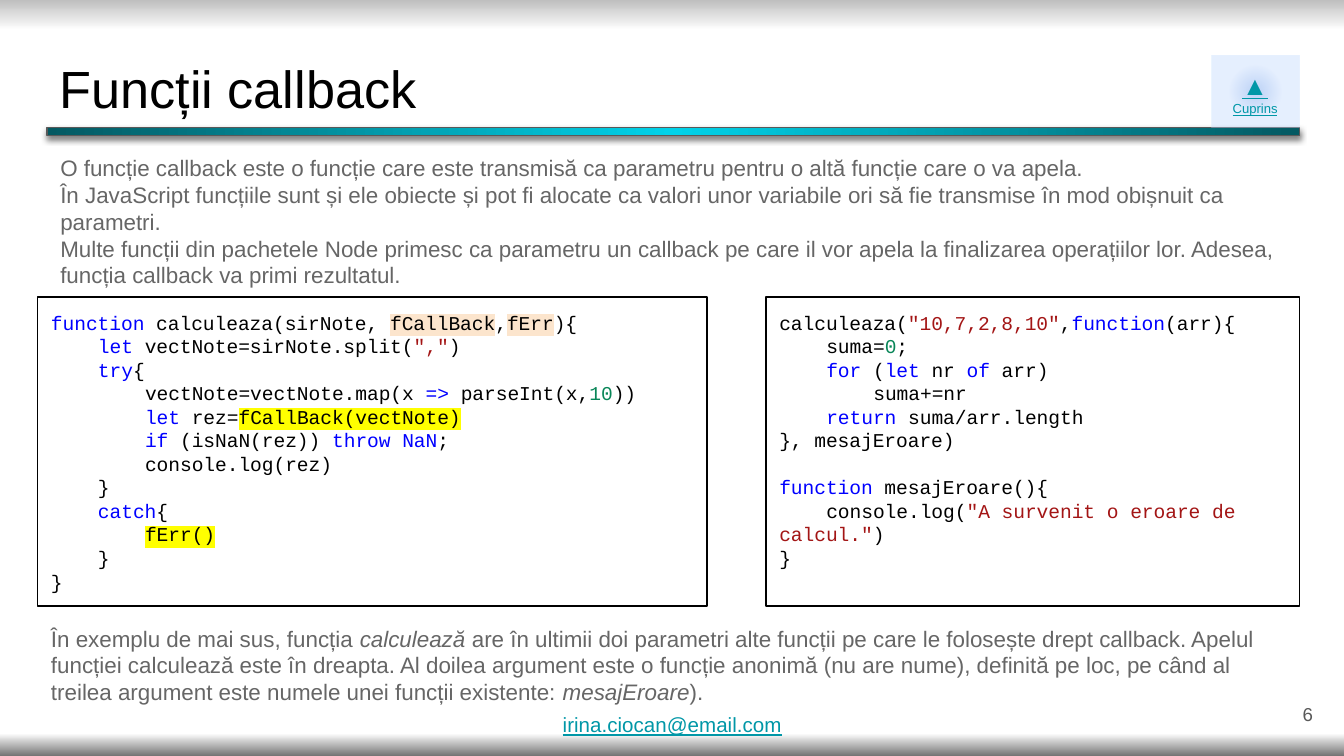
from lxml import etree
from pptx import Presentation
from pptx.dml.color import RGBColor
from pptx.enum.shapes import MSO_SHAPE
from pptx.enum.text import MSO_ANCHOR, PP_ALIGN
from pptx.oxml.ns import qn
from pptx.util import Pt

RECT = MSO_SHAPE.RECTANGLE
TOP, MIDDLE = MSO_ANCHOR.TOP, MSO_ANCHOR.MIDDLE
LEFT, CENTER, RIGHT = PP_ALIGN.LEFT, PP_ALIGN.CENTER, PP_ALIGN.RIGHT

TITLE = {"name": "Arial", "size": Pt(28), "color": "000000"}
BODY = {"name": "Arial", "size": Pt(12), "color": "666666"}
CODE = {"name": "Courier New", "size": Pt(10.5), "color": "000000"}
LINK = {"name": "Arial", "size": Pt(11), "color": "0097A7", "underline": True}
PAGE = {"name": "Arial", "size": Pt(10), "color": "595959"}
ITALIC = {"italic": True}
KEY = {"color": "0000FF"}
STR = {"color": "A31515"}
NUM = {"color": "098658"}
PARAM = {"mark": "FCE5CD"}
CALL = {"mark": "FFFF00"}
CODE_LINE, BODY_LINE, TAB = 12.6, 14.35, 25.2

INTRO = [
    "O funcție callback este o funcție care este transmisă ca parametru "
    "pentru o altă funcție care o va apela.",
    "În JavaScript funcțiile sunt și ele obiecte și pot fi alocate ca valori "
    "unor variabile ori să fie transmise în mod obișnuit ca parametri.",
    "Multe funcții din pachetele Node primesc ca parametru un callback pe care "
    "il vor apela la finalizarea operațiilor lor. Adesea, funcția callback va "
    "primi rezultatul.",
]
NOTE = [
    "În exemplu de mai sus, funcția ", ("calculează ", ITALIC),
    "are în ultimii doi parametri alte funcții pe care le folosește drept "
    "callback. Apelul funcției calculează este în dreapta. Al doilea argument "
    "este o funcție anonimă (nu are nume), definită pe loc, pe când al treilea "
    "argument este numele unei funcții existente: ",
    ("mesajEroare", ITALIC), ").",
]
DEFINE = [
    (0, [("function", KEY), " calculeaza(sirNote, ", ("fCallBack", PARAM), ",",
         ("fErr", PARAM), "){"]),
    (1, [("let", KEY), " vectNote=sirNote.split(", ('","', STR), ")"]),
    (1, [("try", KEY), "{"]),
    (2, ["vectNote=vectNote.map(x ", ("=>", KEY), " parseInt(x,", ("10", NUM), "))"]),
    (2, [("let", KEY), " rez=", ("fCallBack(vectNote)", CALL)]),
    (2, [("if", KEY), " (isNaN(rez)) ", ("throw NaN", KEY), ";"]),
    (2, ["console.log(rez)"]),
    (1, ["}"]),
    (1, [("catch", KEY), "{"]),
    (2, [("fErr()", CALL)]),
    (1, ["}"]),
    (0, ["}"]),
]
USE = [
    (0, ["calculeaza(", ('"10,7,2,8,10"', STR), ",", ("function", KEY), "(arr){"]),
    (1, ["suma=", ("0", NUM), ";"]),
    (1, [("for", KEY), " (", ("let", KEY), " nr ", ("of", KEY), " arr)"]),
    (2, ["suma+=nr"]),
    (1, [("return", KEY), " suma/arr.length"]),
    (0, ["}, mesajEroare)"]),
]
ERROR = [
    (0, [("function", KEY), " mesajEroare(){"]),
    (1, ["console.log(", ('"A survenit o eroare de calcul."', STR), ")"]),
    (0, ["}"]),
]


def tint(text):
    """Return the colour for a hex string."""
    return RGBColor.from_string(text)


def node(up, tag, **attrs):
    """Add a DrawingML child with the given attributes."""
    return etree.SubElement(up, qn("a:" + tag), {k: str(v) for k, v in attrs.items()})


def shade(root, fill, stops, round_=False, alpha=100):
    """Fill with a downward or a centred gradient."""
    fill.solid()
    old = root.find(".//" + qn("a:solidFill"))
    grad = etree.Element(qn("a:gradFill"), rotWithShape="1")
    row = node(grad, "gsLst")
    for pos, hue in stops:
        clr = node(node(row, "gs", pos=pos * 1000), "srgbClr", val=hue)
        if alpha < 100:
            node(clr, "alpha", val=alpha * 1000)
    if round_:
        way = node(grad, "path", path="circle")
        node(way, "fillToRect", l=50000, t=50000, r=50000, b=50000)
    else:
        node(grad, "lin", ang=5400000, scaled=0)
    old.getparent().replace(old, grad)


def write(para, parts, base):
    """Add runs, each a plain string or a (text, format) pair."""
    for part in parts:
        text, extra = (part, {}) if isinstance(part, str) else part
        run = para.add_run()
        run.text = text
        for key, val in {**base, **extra}.items():
            if key == "color":
                run.font.color.rgb = tint(val)
            elif key == "mark":
                glow = etree.Element(qn("a:highlight"))
                node(glow, "srgbClr", val=val)
                run.font._element.find(qn("a:solidFill")).addnext(glow)
            else:
                setattr(run.font, key, val)


def fill_text(shape, rows, base, line=None, align=LEFT, anchor=TOP, pad=7.2):
    """Write rows of (indent level, parts) and return the paragraphs."""
    frame = shape.text_frame
    look = {"word_wrap": True, "vertical_anchor": anchor,
            "margin_left": Pt(7.2), "margin_right": Pt(7.2),
            "margin_top": Pt(pad), "margin_bottom": Pt(pad)}
    for key, val in look.items():
        setattr(frame, key, val)
    for i, (level, parts) in enumerate(rows):
        para = frame.add_paragraph() if i else frame.paragraphs[0]
        para.alignment = align
        if line:
            para.line_spacing = Pt(line)
        if level:
            para._p.get_or_add_pPr().set("indent", str(Pt(level * TAB)))
        write(para, parts, base)
    return frame.paragraphs


def label(slide, box, rows, base, **look):
    """Add a text box."""
    shape = slide.shapes.add_textbox(*map(Pt, box))
    fill_text(shape, rows, base, **look)


def panel(slide, box, edge=None):
    """Add an unfilled rectangle with an optional outline."""
    shape = slide.shapes.add_shape(RECT, *map(Pt, box))
    shape.shadow.inherit = False
    shape.fill.background()
    if edge:
        shape.line.color.rgb = tint(edge)
        shape.line.width = Pt(0.75)
    else:
        shape.line.fill.background()
    return shape


def rule(slide):
    """Add the shaded bar under the title."""
    bar = panel(slide, (25.2, 68.3, 671, 4.4), "595959")
    shade(bar._element, bar.fill, [(0, "00D2E9"), (100, "045962")], True)
    drop = node(bar._element.spPr.find(qn("a:effectLst")), "outerShdw",
                blurRad=Pt(3.4), dist=Pt(1.5), dir=5400000, algn="bl", rotWithShape=0)
    node(node(drop, "srgbClr", val="000000"), "alpha", val=50000)


def button(slide):
    """Add the button that leads to the contents."""
    shape = panel(slide, (648.9, 29.9, 47, 38.4))
    stops = [(0, "4A86E8"), (48, "BCD6FF"), (100, "BCD6FF")]
    shade(shape._element, shape.fill, stops, True, 37)
    rows = [(0, [("▲", {"size": Pt(14)})]), (0, ["Cuprins"])]
    fill_text(shape, rows, {**LINK, "size": Pt(7)}, align=CENTER)


def main():
    """Build the slide and save it."""
    deck = Presentation()
    deck.slide_width, deck.slide_height = Pt(720), Pt(405)
    slide = deck.slides.add_slide(deck.slide_layouts[6])
    shade(slide._element, slide.background.fill,
          [(0, "BFBFBF"), (4, "FFFFFF"), (97, "FFFFFF"), (100, "737373")])
    label(slide, (24.8, 23, 671, 45.4), [(0, ["Funcții callback"])], TITLE)
    rule(slide)
    label(slide, (667.2, 367.2, 43.2, 31), [(0, ["6"])], PAGE, align=RIGHT, anchor=MIDDLE)
    button(slide)
    label(slide, (294.4, 381.6, 132.5, 19.4), [(0, ["irina.ciocan@email.com"])], LINK, pad=0)
    label(slide, (25.2, 75.6, 671, 83.5), [(0, [text]) for text in INTRO], BODY, line=BODY_LINE)
    for left, width, rows in ((20.2, 358.6, DEFINE), (410.4, 285.8, USE + ERROR)):
        box = panel(slide, (left, 159.1, width, 165.6), "000000")
        paras = fill_text(box, rows, CODE, CODE_LINE)
    paras[len(USE)].space_before = Pt(CODE_LINE)
    label(slide, (20.2, 327.6, 671, 54), [(0, NOTE)], BODY, line=BODY_LINE)
    deck.save("out.pptx")


if __name__ == "__main__":
    main()
